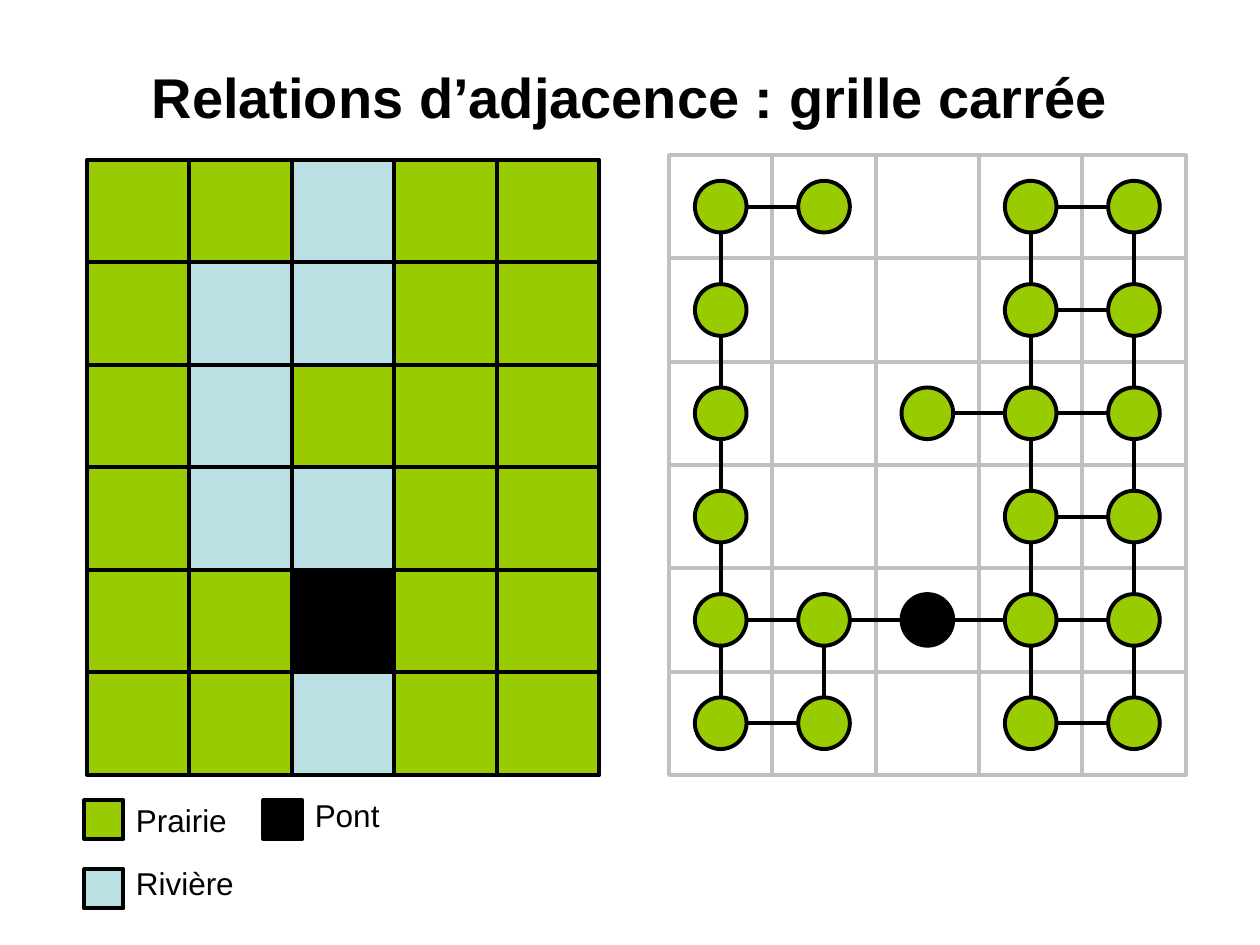
from dataclasses import dataclass
from pptx import Presentation
from pptx.dml.color import RGBColor
from pptx.enum.shapes import MSO_CONNECTOR as CXN, MSO_SHAPE as SHP
from pptx.enum.text import MSO_ANCHOR as ANCHOR, PP_ALIGN as ALIGN
from pptx.oxml.xmlchemy import OxmlElement
from pptx.util import Inches, Pt


@dataclass
class Theme:
    font: str = "Arial"
    title: Pt = Pt(32)
    body: Pt = Pt(18)
    line: Pt = Pt(2.25)
    black: RGBColor = RGBColor(0, 0, 0)
    grey: RGBColor = RGBColor(0xC0, 0xC0, 0xC0)
    meadow: RGBColor = RGBColor(0x99, 0xCC, 0x00)
    river: RGBColor = RGBColor(0xBB, 0xE0, 0xE3)


T = Theme()
FILLS = {"P": T.meadow, "R": T.river, "B": T.black}
TERRAIN = ["PPRPP", "PRRPP", "PRPPP", "PRRPP", "PPBPP", "PPRPP"]
CELLS = {(row, col): kind for row, line in enumerate(TERRAIN) for col, kind in enumerate(line)}
NODES = {pos: kind for pos, kind in CELLS.items() if kind != "R"}


def add_box(shapes, kind, x, y, size, fill, line):
    sp = shapes.add_shape(kind, Inches(x), Inches(y), Inches(size), Inches(size))
    sp.shadow.inherit = False
    if fill is None:
        sp.fill.background()
    else:
        sp.fill.solid()
        sp.fill.fore_color.rgb = fill
    sp.line.color.rgb = line
    sp.line.width = T.line


def add_label(x, y, w, h, text, size):
    tf = s.shapes.add_textbox(Inches(x), Inches(y), Inches(w), Inches(h)).text_frame
    tf.word_wrap = True
    p = tf.paragraphs[0]
    p.text = text
    p.font.name = T.font
    p.font.size = size
    p.font.color.rgb = T.black
    return tf


prs = Presentation()
prs.slide_width, prs.slide_height = Inches(10), Inches(7.5)
s = prs.slides.add_slide(prs.slide_layouts[6])

tf = add_label(0.5, 0.3, 9, 0.93, "Relations d’adjacence : grille carrée", T.title)
tf.vertical_anchor = ANCHOR.MIDDLE
tf.paragraphs[0].alignment = ALIGN.CENTER
tf.paragraphs[0].font.bold = True

map_left, map_top, tile = 0.69, 1.27, 0.8135
terrain = s.shapes.add_group_shape().shapes
for (row, col), kind in CELLS.items():
    add_box(terrain, SHP.RECTANGLE, map_left + col * tile, map_top + row * tile, tile, FILLS[kind], T.black)

graph_left, graph_top, pitch, node = 5.31, 1.23, 0.82, 0.41
graph = s.shapes.add_group_shape().shapes
for row, col in CELLS:
    add_box(graph, SHP.RECTANGLE, graph_left + col * pitch, graph_top + row * pitch, pitch, None, T.grey)

inset = (pitch - node) / 2
for (row, col), kind in NODES.items():
    x, y = graph_left + col * pitch + inset, graph_top + row * pitch + inset
    add_box(graph, SHP.OVAL, x, y, node, FILLS[kind], T.black)

for row, col in NODES:
    cx, cy = graph_left + (col + 0.5) * pitch, graph_top + (row + 0.5) * pitch
    for dx, dy in [(1, 0), (0, 1)]:
        if (row + dy, col + dx) in NODES:
            x, y = cx + dx * node / 2, cy + dy * node / 2
            gap = pitch - node
            edge = graph.add_connector(
                CXN.STRAIGHT, Inches(x), Inches(y), Inches(x + dx * gap), Inches(y + dy * gap))
            edge.line.color.rgb = T.black
            edge.line.width = T.line
            edge._element.spPr.append(OxmlElement("a:effectLst"))

LEGEND = [
    ("Prairie", T.meadow, 0.67, 6.35, 6.31),
    ("Rivière", T.river, 0.67, 6.9, 6.81),
    ("Pont", T.black, 2.09, 6.35, 6.27),
]
swatch = 0.31
for name, fill, x, y, text_y in LEGEND:
    add_box(s.shapes, SHP.RECTANGLE, x, y, swatch, fill, T.black)
    add_label(x + swatch, text_y, 1.97, 0.4, name, T.body)

prs.save("out.pptx")
